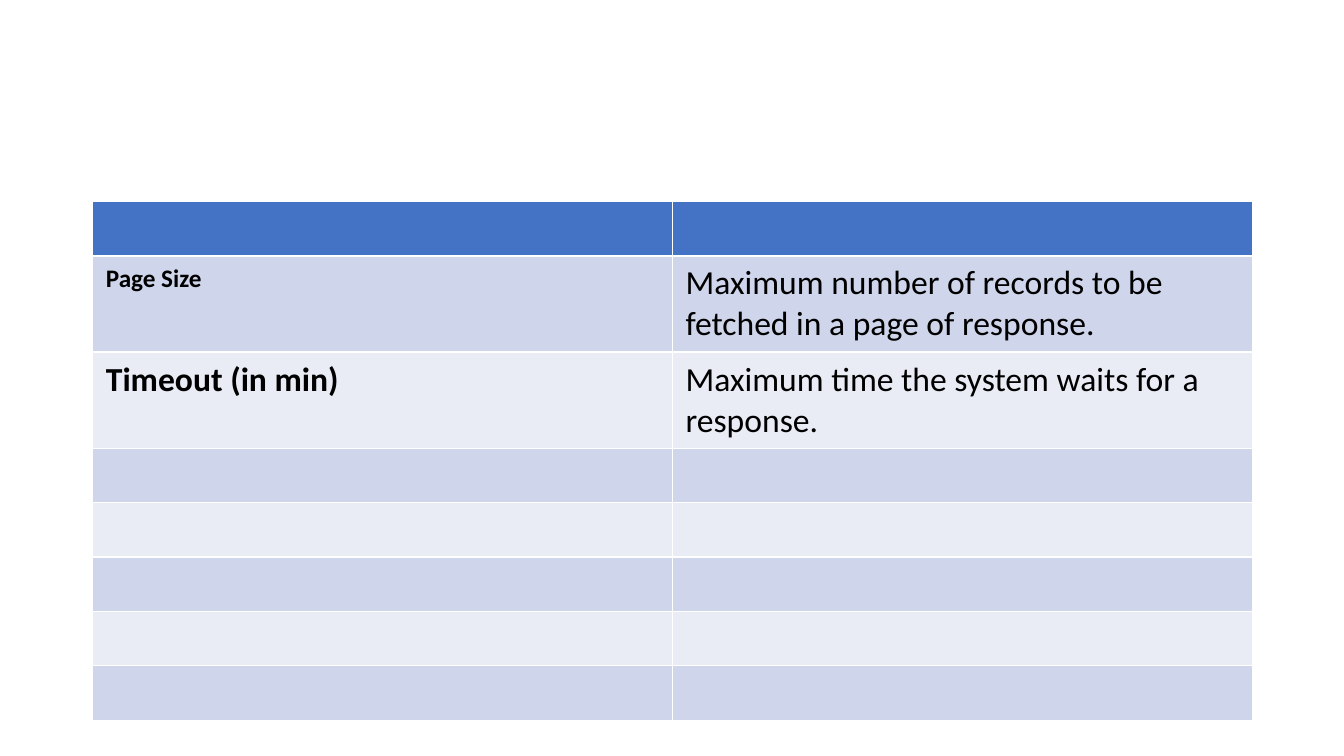
from pptx import Presentation
from pptx.dml.color import RGBColor as RGB
from pptx.util import Inches, Pt

colors = {"head": "4472C4", "dark": "CFD5EA", "light": "E9EBF5", "text": "000000"}
terms = [
    ("Page Size", 18, "Maximum number of records to be fetched in a page of response."),
    ("Timeout (in min)", 24, "Maximum time the system waits for a response."),
]
heights = [0.54, 0.93, 0.93] + [0.54] * 5

deck = Presentation()
deck.slide_width, deck.slide_height = Inches(13.33), Inches(7.5)
slide = deck.slides.add_slide(deck.slide_layouts[6])

frame = slide.shapes.add_table(
    len(heights), 2, Inches(0.92), Inches(2), Inches(11.5), Inches(sum(heights)))
table = frame.table

for i, height in enumerate(heights):
    row = table.rows[i]
    row.height = Inches(height)
    shade = "head" if i == 0 else "dark" if i % 2 else "light"
    for cell in row.cells:
        cell.fill.solid()
        cell.fill.fore_color.rgb = RGB.from_string(colors[shade])
        cell.margin_left = cell.margin_right = Inches(0.13)
        cell.margin_top = cell.margin_bottom = Inches(0.07)

for i, (term, size, meaning) in enumerate(terms, 1):
    for j, (text, points) in enumerate([(term, size), (meaning, 24)]):
        cell = table.cell(i, j)
        cell.text = text
        font = cell.text_frame.paragraphs[0].font
        font.name = "Calibri"
        font.size = Pt(points)
        font.bold = j == 0
        font.color.rgb = RGB.from_string(colors["text"])

deck.save("out.pptx")
